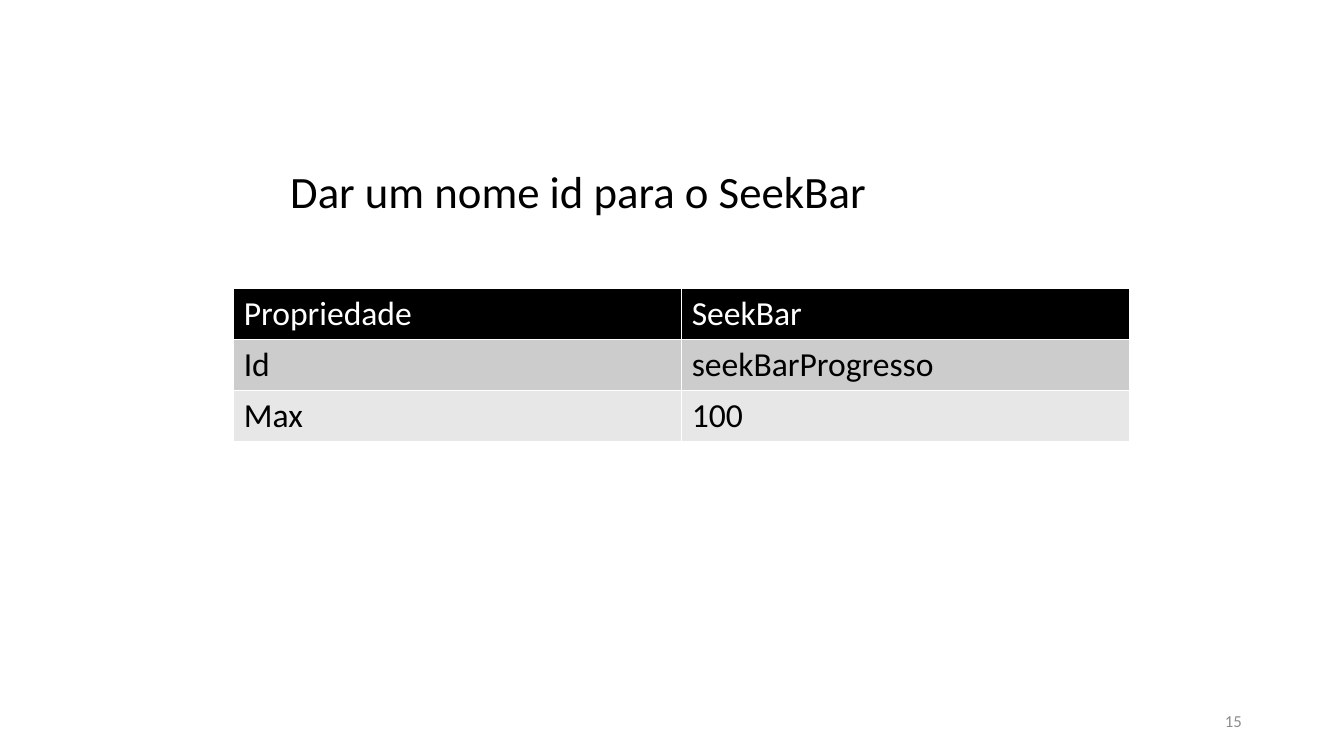
from lxml.etree import SubElement
from pptx import Presentation
from pptx.dml.color import RGBColor
from pptx.enum.text import MSO_ANCHOR as Anchor, MSO_AUTO_SIZE as AutoSize, PP_ALIGN as Align
from pptx.oxml.ns import qn
from pptx.util import Cm, Pt

FONT = "Calibri"
TITLE_ONLY = 5
PROPERTIES = [("Propriedade", "SeekBar"), ("Id", "seekBarProgresso"), ("Max", "100")]
ROW_COLORS = [("000000", "FFFFFF"), ("CCCCCC", "000000"), ("E7E7E7", "000000")]


def color(hex_code):
    return RGBColor.from_string(hex_code)


def add_run(frame, text, size, hex_code, align=Align.LEFT):
    paragraph = frame.paragraphs[0]
    paragraph.alignment = align
    run = paragraph.add_run()
    run.text = text
    run.font.name = FONT
    run.font.size = Pt(size)
    run.font.bold = False
    run.font.color.rgb = color(hex_code)


def set_title(slide, text):
    title = slide.shapes.title
    title.left, title.top, title.width, title.height = Cm(7.06), Cm(3.99), Cm(21.41), Cm(1.63)
    frame = title.text_frame
    frame.auto_size = AutoSize.NONE
    frame.word_wrap = True
    frame.vertical_anchor = Anchor.TOP
    add_run(frame, text, 32, "000000")


def add_page_number(slide, number):
    frame = slide.shapes.add_textbox(Cm(23.93), Cm(17.65), Cm(7.62), Cm(1.02)).text_frame
    frame.word_wrap = True
    frame.vertical_anchor = Anchor.MIDDLE
    add_run(frame, number, 12, "8C8C8C", Align.RIGHT)


def set_borders(cell, hex_code, width):
    properties = cell._tc.get_or_add_tcPr()
    for side in ("a:lnL", "a:lnR", "a:lnT", "a:lnB"):
        line = SubElement(properties, qn(side), w=str(Pt(width)))
        fill = SubElement(line, qn("a:solidFill"))
        SubElement(fill, qn("a:srgbClr"), val=hex_code)


def add_property_table(slide):
    row_count, column_count = len(PROPERTIES), len(PROPERTIES[0])
    table = slide.shapes.add_table(row_count, column_count, Cm(5.89), Cm(7.26),
                                   Cm(22.58), Cm(1.27 * row_count)).table
    for row, texts, (fill_color, text_color) in zip(table.rows, PROPERTIES, ROW_COLORS):
        for cell, text in zip(row.cells, texts):
            set_borders(cell, "FFFFFF", 1)
            cell.fill.solid()
            cell.fill.fore_color.rgb = color(fill_color)
            add_run(cell.text_frame, text, 24, text_color)


def main():
    deck = Presentation()
    deck.slide_width, deck.slide_height = Cm(33.87), Cm(19.05)
    slide = deck.slides.add_slide(deck.slide_layouts[TITLE_ONLY])
    set_title(slide, "Dar um nome id para o SeekBar")
    add_property_table(slide)
    add_page_number(slide, "15")
    deck.save("out.pptx")


if __name__ == "__main__":
    main()
